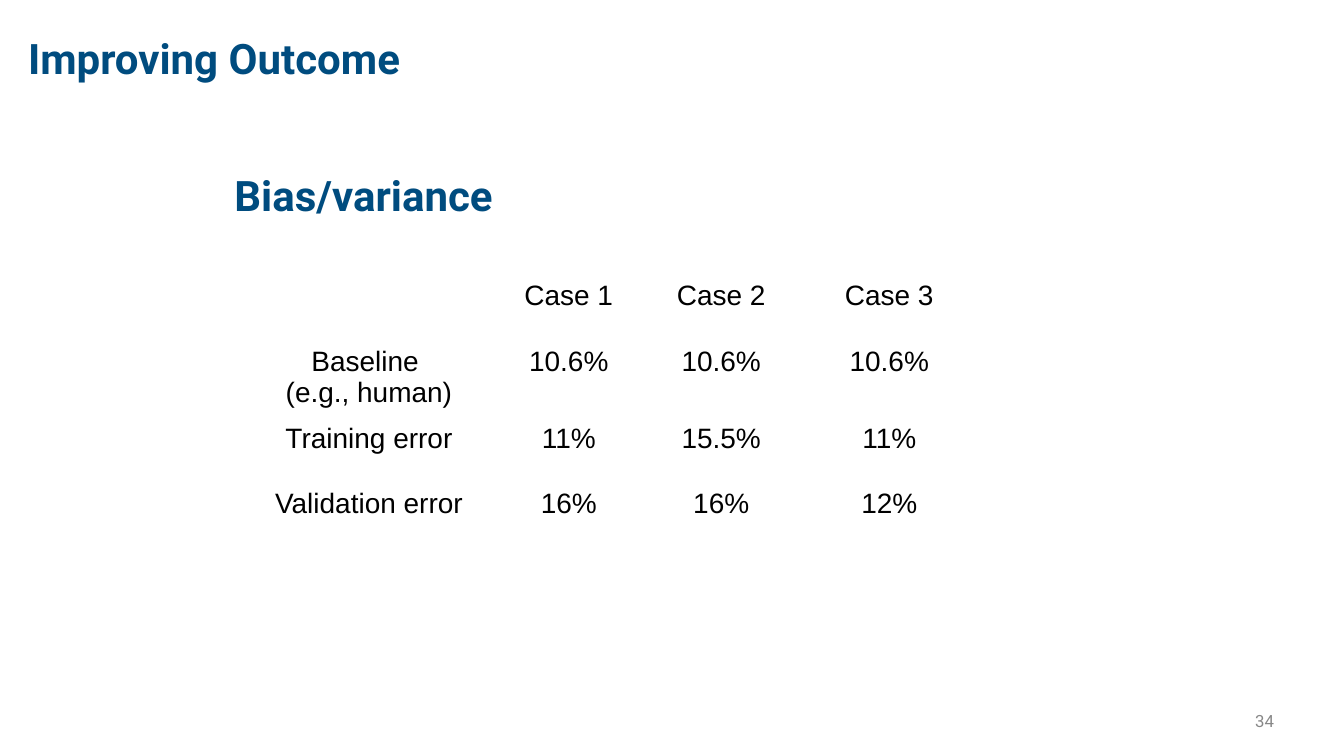
"""Build the bias/variance slide with its table of error rates."""
from pptx import Presentation
from pptx.dml.color import RGBColor
from pptx.enum.text import MSO_ANCHOR, MSO_AUTO_SIZE, PP_ALIGN
from pptx.util import Pt

LEFT, CENTER, RIGHT = PP_ALIGN.LEFT, PP_ALIGN.CENTER, PP_ALIGN.RIGHT
TOP, MIDDLE = MSO_ANCHOR.TOP, MSO_ANCHOR.MIDDLE
NO_AUTOFIT = MSO_AUTO_SIZE.NONE
NAVY = RGBColor(0x00, 0x4C, 0x7F)
BLACK = RGBColor(0x00, 0x00, 0x00)
GRAY = RGBColor(0x88, 0x88, 0x88)

HEADING = ("Roboto", 60, NAVY, True)
CELL = ("Arial", 40, BLACK, False)
NUMBER = ("Roboto", 24, GRAY, False)

SECTION = "Improving Outcome"
TOPIC = "Bias/variance"
PAGE = "34"
ERROR_RATES = [
    ("", "Case 1", "Case 2", "Case 3"),
    ("Baseline \n(e.g., human)", "10.6%", "10.6%", "10.6%"),
    ("Training error", "11%", "15.5%", "11%"),
    ("Validation error", "16%", "16%", "12%"),
]
COLUMN_WIDTHS = [352.8, 218.2, 217.4, 262.8]
ROW_HEIGHTS = [93.6, 110.2, 93.6, 93.6]


def style_font(font, style):
    font.name, size, font.color.rgb, font.bold = style
    font.size = Pt(size)


def write(frame, text, style, align):
    for index, line in enumerate(text.split("\n")):
        paragraph = frame.add_paragraph() if index else frame.paragraphs[0]
        paragraph.alignment = align
        if line:
            run = paragraph.add_run()
            run.text = line
            style_font(run.font, style)
        else:
            style_font(paragraph.font, style)


def set_text(holder, box, text, style, align, anchor, inset):
    holder.left, holder.top, holder.width, holder.height = map(Pt, box)
    frame = holder.text_frame
    frame.word_wrap = True
    frame.auto_size = NO_AUTOFIT
    frame.vertical_anchor = anchor
    frame.margin_left = frame.margin_right = Pt(inset)
    frame.margin_top = frame.margin_bottom = Pt(inset)
    write(frame, text, style, align)
    return frame


def add_error_table(slide):
    table = slide.shapes.add_table(
        len(ERROR_RATES), len(COLUMN_WIDTHS), Pt(350.6), Pt(393.1),
        Pt(sum(COLUMN_WIDTHS)), Pt(sum(ROW_HEIGHTS))).table
    table.first_row = table.horz_banding = False
    for column, width in zip(table.columns, COLUMN_WIDTHS):
        column.width = Pt(width)
    for row, height, rates in zip(table.rows, ROW_HEIGHTS, ERROR_RATES):
        row.height = Pt(height)
        for cell, text in zip(row.cells, rates):
            cell.fill.background()
            cell.margin_left = cell.margin_right = Pt(14.4)
            cell.margin_top = cell.margin_bottom = Pt(7.2)
            write(cell.text_frame, text, CELL, CENTER)


def main():
    deck = Presentation()
    deck.slide_width, deck.slide_height = Pt(1920), Pt(1080)
    slide = deck.slides.add_slide(deck.slide_layouts[5])
    set_text(slide.shapes.title, (327.6, 200.2, 1328.4, 154.8),
             TOPIC, HEADING, LEFT, MIDDLE, 7.2)
    add_error_table(slide)
    section = set_text(slide.shapes.add_textbox(0, 0, 0, 0), (33.1, 47.5, 743.8, 80.6),
                       SECTION, HEADING, LEFT, TOP, 7.2)
    section.paragraphs[0].line_spacing = 0.9
    set_text(slide.shapes.add_textbox(0, 0, 0, 0), (1768.3, 1011.6, 55.4, 36),
             PAGE, NUMBER, RIGHT, MIDDLE, 3.6)
    deck.save("out.pptx")


if __name__ == "__main__":
    main()
